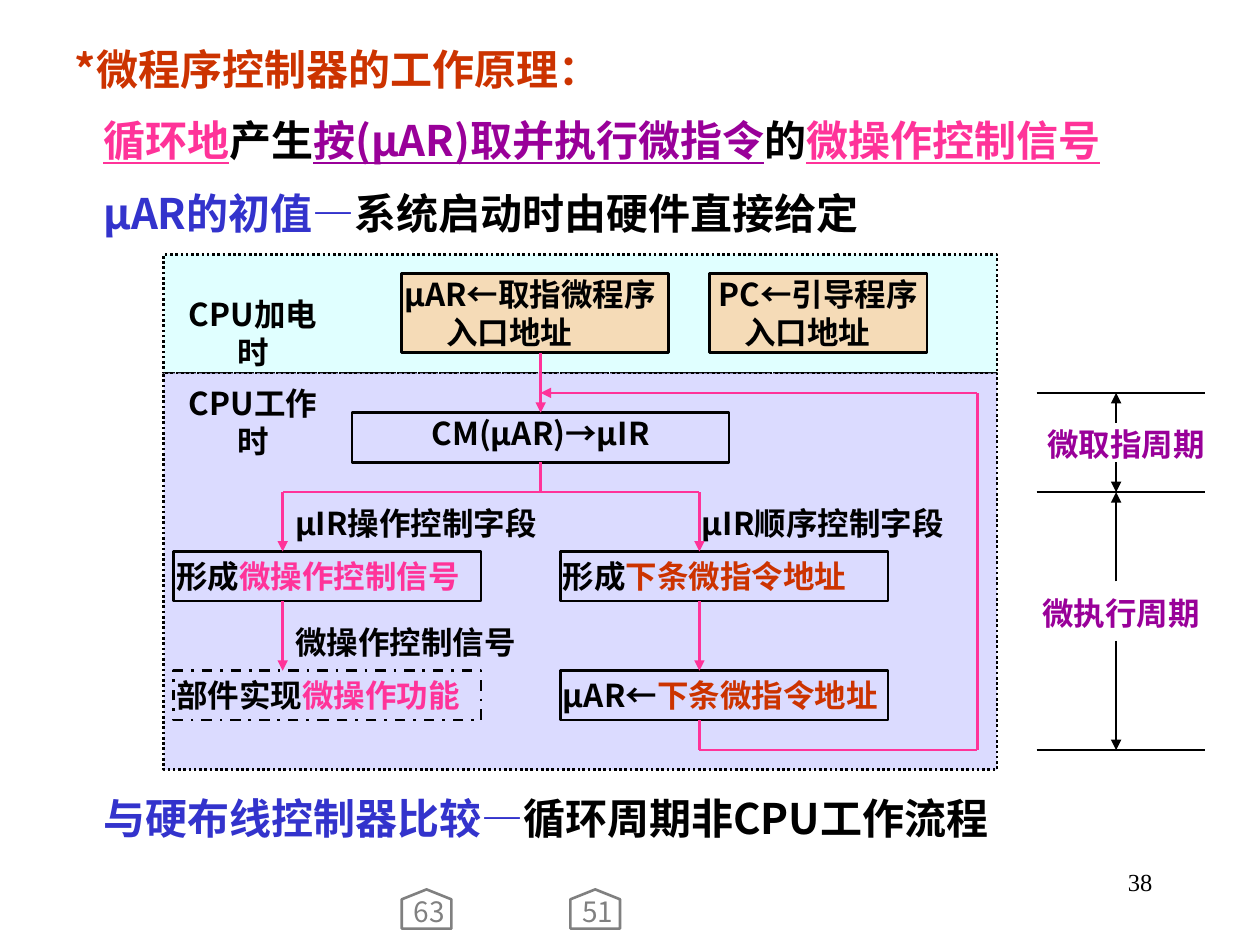
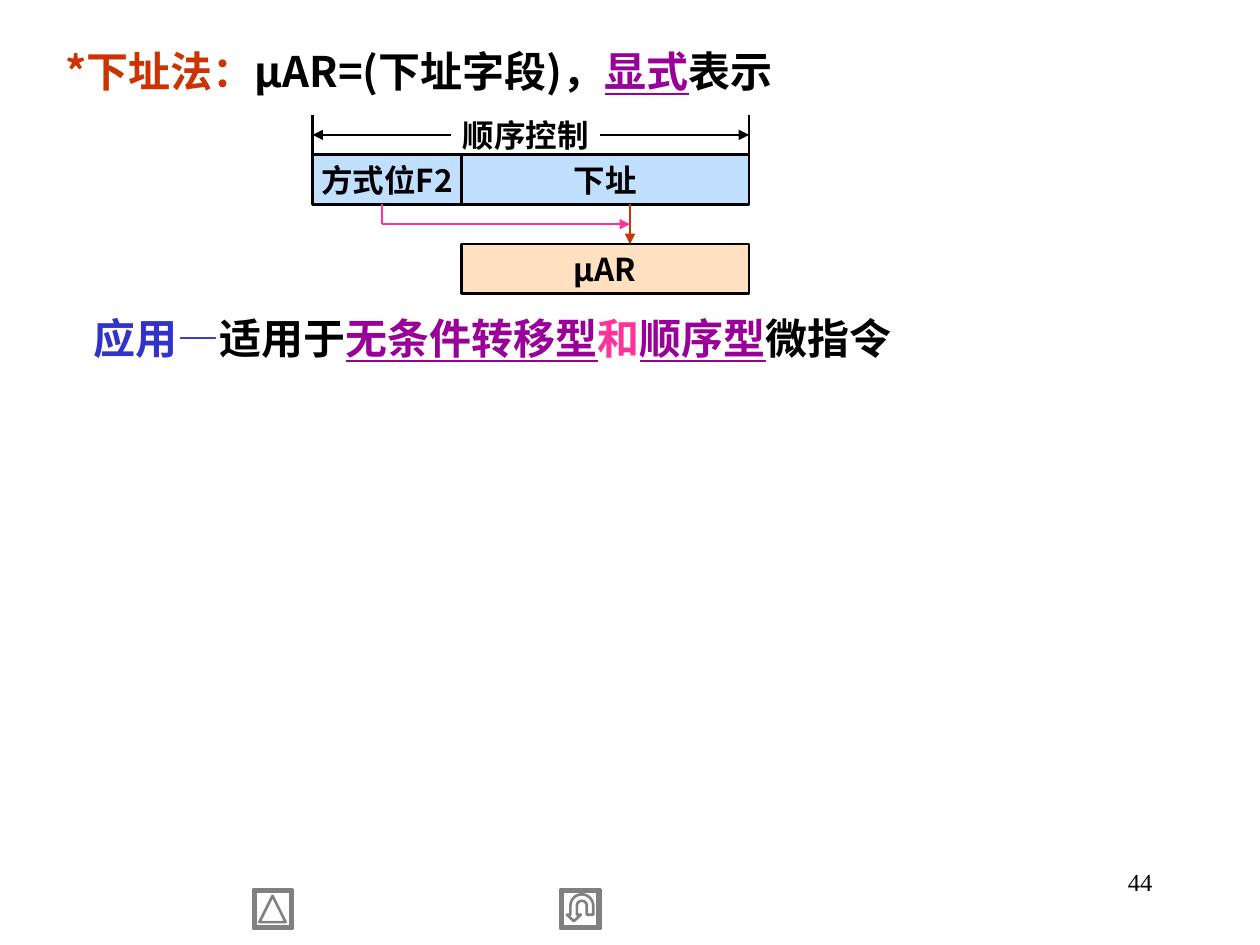
import math
from dataclasses import dataclass
from typing import NamedTuple

from lxml import etree
from pptx import Presentation
from pptx.dml.color import RGBColor
from pptx.enum.dml import MSO_LINE
from pptx.enum.shapes import MSO_CONNECTOR, MSO_SHAPE
from pptx.enum.text import MSO_ANCHOR, PP_ALIGN
from pptx.oxml.ns import qn
from pptx.util import Cm, Pt

RECT, BEVEL, TRIANGLE = MSO_SHAPE.RECTANGLE, MSO_SHAPE.BEVEL, MSO_SHAPE.ISOSCELES_TRIANGLE
STRAIGHT = MSO_CONNECTOR.STRAIGHT
DOT, DASH_DOT = MSO_LINE.ROUND_DOT, MSO_LINE.DASH_DOT
LEFT, CENTER, RIGHT = PP_ALIGN.LEFT, PP_ALIGN.CENTER, PP_ALIGN.RIGHT
TOP, MIDDLE = MSO_ANCHOR.TOP, MSO_ANCHOR.MIDDLE


@dataclass(frozen=True)
class Theme:
    """Colours, fonts, type sizes and line widths."""
    black: str = "000000"
    red: str = "CC3300"
    pink: str = "FF3399"
    purple: str = "990099"
    blue: str = "3333CC"
    grey: str = "808080"
    cyan_fill: str = "CCFFFF"
    violet_fill: str = "CCCCFF"
    orange_fill: str = "FFCC99"
    blue_fill: str = "99CCFF"
    font: str = "Noto Sans CJK SC"
    page_font: str = "Times New Roman"
    heading: int = 24
    body: int = 18
    button: int = 16
    page: int = 14
    outline: float = 1.5
    measure: float = 1.25
    hairline: float = 0.75


T = Theme()


class Box(NamedTuple):
    """A rectangle in centimetres."""
    x: float
    y: float
    w: float
    h: float

    def sub(self, dx, dy, w, h):
        """Return a box placed relative to this one."""
        return Box(self.x + dx, self.y + dy, w, h)

    def cm(self):
        """Return the box as slide lengths."""
        return [Cm(v) for v in self]


def write(sp, *parts, color=T.black, size=T.body, bold=True, font=T.font,
          align=LEFT, spacing=None, indent=0):
    """Add a paragraph of strings or (text, colour, underline) parts."""
    tf = sp.text_frame
    p = tf.add_paragraph() if tf.paragraphs[0].runs else tf.paragraphs[0]
    p.alignment, p.line_spacing = align, spacing
    if indent:
        p._p.get_or_add_pPr().set("marL", str(Cm(indent)))
    for part in parts:
        text, tint, underline = (part, color, False) if isinstance(part, str) else part
        r = p.add_run()
        r.text = text
        f = r.font
        f.size, f.bold, f.name = Pt(size), bold, font
        f.underline = underline
        f.color.rgb = RGBColor.from_string(tint)
        etree.SubElement(r._r.rPr, qn("a:ea"), typeface=font)


def frame(sp, margins=(0.05, 0.03), anchor=TOP):
    """Set wrapping, margins and anchor of a text frame."""
    tf = sp.text_frame
    tf.word_wrap, tf.vertical_anchor = True, anchor
    tf.margin_left = tf.margin_right = Cm(margins[0])
    tf.margin_top = tf.margin_bottom = Cm(margins[1])
    return sp


def label(s, box, *parts, margins=(0.05, 0.03), anchor=TOP, **fmt):
    """Add a text box with one paragraph."""
    sp = frame(s.shapes.add_textbox(*box.cm()), margins, anchor)
    write(sp, *parts, **fmt)


def outline(sp, color, dash=None):
    """Remove the shadow and draw the outline."""
    sp.shadow.inherit = False
    sp.line.color.rgb = RGBColor.from_string(color)
    sp.line.width = Pt(T.outline)
    if dash:
        sp.line.dash_style = dash


def shape(s, box, kind=RECT, fill=None, opacity=60, color=T.black, dash=None, anchor=TOP):
    """Add an outlined preset shape with an optional translucent fill."""
    sp = s.shapes.add_shape(kind, *box.cm())
    outline(sp, color, dash)
    if fill:
        sp.fill.solid()
        sp.fill.fore_color.rgb = RGBColor.from_string(fill)
        clr = sp._element.spPr.find(qn("a:solidFill"))[0]
        etree.SubElement(clr, qn("a:alpha"), val=str(opacity * 1000))
    else:
        sp.fill.background()
    return frame(sp, anchor=anchor)


def polygon(s, box, points):
    """Add a closed grey outline through points relative to the box."""
    pts = [(Cm(box.x + x), Cm(box.y + y)) for x, y in points]
    fb = s.shapes.build_freeform(*pts[0])
    fb.add_line_segments(pts[1:], close=True)
    sp = fb.convert_to_shape()
    sp.fill.background()
    outline(sp, T.grey)


def route(s, box, *points, color=T.pink, width=T.outline, arrow=False):
    """Join points relative to the box by lines, the last with an optional arrowhead."""
    for i, ((x1, y1), (x2, y2)) in enumerate(zip(points, points[1:]), 2):
        c = s.shapes.add_connector(STRAIGHT, Cm(box.x + x1), Cm(box.y + y1),
                                   Cm(box.x + x2), Cm(box.y + y2))
        c.line.color.rgb = RGBColor.from_string(color)
        c.line.width = Pt(width)
        if arrow and i == len(points):
            etree.SubElement(c.line._get_or_add_ln(), qn("a:tailEnd"), type="triangle")
        etree.SubElement(c._element.spPr, qn("a:effectLst"))


def heading(s, top, indent, *parts, color=T.black):
    """Add a full-width line of large text."""
    label(s, Box(0.5, top, 24.4, 1.52), *parts, color=color, margins=(0.25, 0.13),
          size=T.heading, spacing=1.25, indent=indent)


def page_number(s, number):
    """Add the page number at the lower right."""
    label(s, Box(18.2, 17.35, 5.28, 1.27), str(number), margins=(0.25, 0.13),
          size=T.page, bold=False, font=T.page_font, align=RIGHT)


def power_on_panel(s, box):
    """Draw the registers that are set at power-on."""
    shape(s, box, fill=T.cyan_fill, dash=DOT)
    label(s, box.sub(0.2, 0.79, 3.2, 0.81), "CPU加电时", align=CENTER)
    for x, w, text, align, indent in ((11, 4.39, "PC←引导程序", CENTER, 0.65),
                                      (4.8, 5.38, "μAR←取指微程序", LEFT, 0.85)):
        sp = shape(s, box.sub(x, 0.38, w, 1.6), fill=T.orange_fill, opacity=70)
        write(sp, text, align=align)
        write(sp, "入口地址", indent=indent)


def work_panel(s, box):
    """Draw the microinstruction loop."""
    left, mid, right, back = 2.4, 7.6, 10.8, 16.4
    shape(s, box, fill=T.violet_fill, opacity=70, dash=DOT)
    label(s, box.sub(0.2, 0.2, 3.2, 0.8), "CPU工作时", align=CENTER)
    write(shape(s, box.sub(3.8, 0.8, 7.6, 1)), "CM(μAR)→μIR", align=CENTER)
    steps = ((0.2, 3.6, 6.2, None, "形成", "微操作控制信号", T.pink),
             (0.2, 6, 6.2, DASH_DOT, "部件实现", "微操作功能", T.pink),
             (8, 3.6, 6.6, None, "形成", "下条微指令地址", T.red),
             (8, 6, 6.6, None, "μAR←", "下条微指令地址", T.red))
    for x, y, w, dash, verb, result, color in steps:
        sp = shape(s, box.sub(x, y, w, 1), dash=dash)
        write(sp, verb, (result, color, False), spacing=1.1)
    for x, y, text in ((2.6, 2.62, "μIR操作控制字段"), (10.8, 2.62, "μIR顺序控制字段"),
                       (2.6, 5, "微操作控制信号")):
        label(s, box.sub(x, y, 5.59, 0.8), text)
    route(s, box, (mid, -0.4), (mid, 0.8), arrow=True)
    route(s, box, (mid, 1.8), (mid, 2.4))
    for x in (left, right):
        route(s, box, (mid, 2.4), (x, 2.4), (x, 3.6), arrow=True)
        route(s, box, (x, 4.6), (x, 6), arrow=True)
    route(s, box, (right, 7), (right, 7.6), (back, 7.6), (back, 0.4), (mid, 0.4), arrow=True)


def period_scale(s, box):
    """Mark the fetch and execute periods beside the loop."""
    axis = 1.6
    for y in (0.4, 2.4, 7.6):
        route(s, box, (0, y), (box.w, y), color=T.black, width=T.hairline)
    for start, end in ((1, 0.4), (1.8, 2.4), (4.2, 2.4), (5.4, 7.6)):
        route(s, box, (axis, start), (axis, end), color=T.black, width=T.measure, arrow=True)
    for y, w, text in ((1.02, 3.6, "微取指周期"), (4.42, 3.4, "微执行周期")):
        label(s, box.sub(0, y, w, 0.79), text, color=T.purple, align=CENTER)


def home_button(s, box, number):
    """Draw a house outline with a slide number."""
    polygon(s, box, ((0, box.h), (0, 0.2), (box.w / 2, 0), (box.w, 0.2), (box.w, box.h)))
    label(s, box.sub(0.1, 0.2, 0.9, 0.6), str(number), color=T.grey, size=T.button,
          bold=False, margins=(0.05, 0), align=CENTER, spacing=0.85)


def bevel_button(s, box):
    """Draw the bevelled frame of a button."""
    shape(s, box, BEVEL, color=T.grey).adjustments[0] = 0.06


def up_button(s, box):
    """Draw a button with a triangle."""
    bevel_button(s, box)
    shape(s, box.sub(0.13, 0.13, 0.53, 0.53), TRIANGLE, color=T.grey)


def return_button(s, box):
    """Draw a button with an arrow that turns back."""
    bevel_button(s, box)
    cx, cy, outer, inner = 0.43, 0.33, 0.23, 0.1
    angles = [math.pi * i / 12 for i in range(13)]
    inside = [(cx + inner * math.cos(a), cy - inner * math.sin(a)) for a in angles]
    outside = [(cx + outer * math.cos(a), cy - outer * math.sin(a)) for a in reversed(angles)]
    foot = 0.51
    polygon(s, box, [(cx + outer, foot), (cx + inner, foot), *inside, (cx - inner, foot),
                     (0.41, foot), (0.27, 0.64), (0.13, foot), (cx - outer, foot), *outside])


def field_diagram(s, box):
    """Draw the sequence control field and its path to the address register."""
    split, jump, mode = 3, 6.4, 1.4
    for x, y, w, fill, text in ((0, 0.8, split, T.blue_fill, "方式位F2"),
                                (split, 0.8, box.w - split, T.blue_fill, "下址"),
                                (split, 2.6, box.w - split, T.orange_fill, "μAR")):
        write(shape(s, box.sub(x, y, w, 1), fill=fill, anchor=MIDDLE), text, align=CENTER)
    label(s, box.sub(2.8, 0, 3, 0.8), "顺序控制", anchor=MIDDLE, align=CENTER)
    for edge, start in ((0, 2.8), (box.w, 5.8)):
        route(s, box, (edge, 0), (edge, 0.8), color=T.black, width=T.measure)
        route(s, box, (start, 0.4), (edge, 0.4), color=T.black, width=T.measure, arrow=True)
    route(s, box, (jump, 1.8), (jump, 2.6), color=T.red, arrow=True)
    route(s, box, (mode, 1.8), (mode, 2.2), (jump, 2.2), arrow=True)


def principle_slide(s):
    """Build the slide on how the controller works."""
    page_number(s, 38)
    heading(s, 0.5, 0.76, "*微程序控制器的工作原理：", color=T.red)
    heading(s, 1.93, 1.33, ("循环地", T.pink, True), "产生",
            ("按(μAR)取并执行微指令", T.purple, True), "的", ("微操作控制信号", T.pink, True))
    heading(s, 3.4, 1.33, ("μAR的初值—", T.blue, False), "系统启动时由硬件直接给定")
    power_on_panel(s, Box(3.3, 5.13, 16.8, 2.39))
    work_panel(s, Box(3.3, 7.52, 16.8, 8))
    period_scale(s, Box(20.9, 7.52, 3.4, 8))
    heading(s, 15.6, 1.33, ("与硬布线控制器比较—", T.blue, False), "循环周期非CPU工作流程")
    for x, number in ((8.1, 63), (11.5, 51)):
        home_button(s, Box(x, 17.93, 1, 0.79), number)


def next_address_slide(s):
    """Build the slide on the next-address method."""
    page_number(s, 44)
    heading(s, 0.53, 0.57, ("*下址法：", T.red, False), "μAR=(下址字段)，",
            ("显式", T.purple, True), "表示")
    field_diagram(s, Box(6.3, 2.32, 8.8, 3.6))
    heading(s, 5.92, 1.14, ("应用—", T.blue, False), "适用于",
            ("无条件转移型", T.purple, True), ("和", T.pink, False),
            ("顺序型", T.purple, True), "微指令")
    up_button(s, Box(5.1, 17.93, 0.8, 0.8))
    return_button(s, Box(11.3, 17.93, 0.8, 0.8))


def main():
    """Build and save both slides."""
    prs = Presentation()
    prs.slide_width, prs.slide_height = Cm(25.4), Cm(19.05)
    for build in (principle_slide, next_address_slide):
        build(prs.slides.add_slide(prs.slide_layouts[6]))
    prs.save("out.pptx")


if __name__ == "__main__":
    main()
